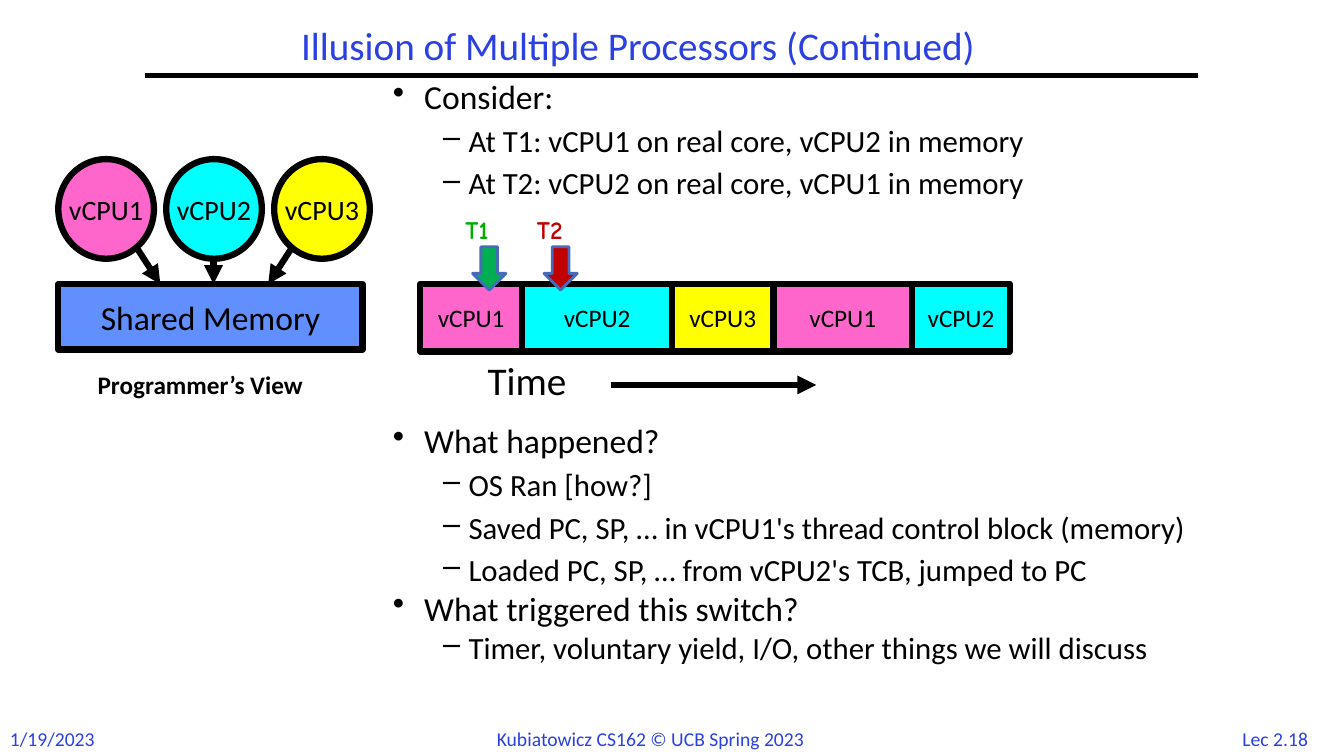
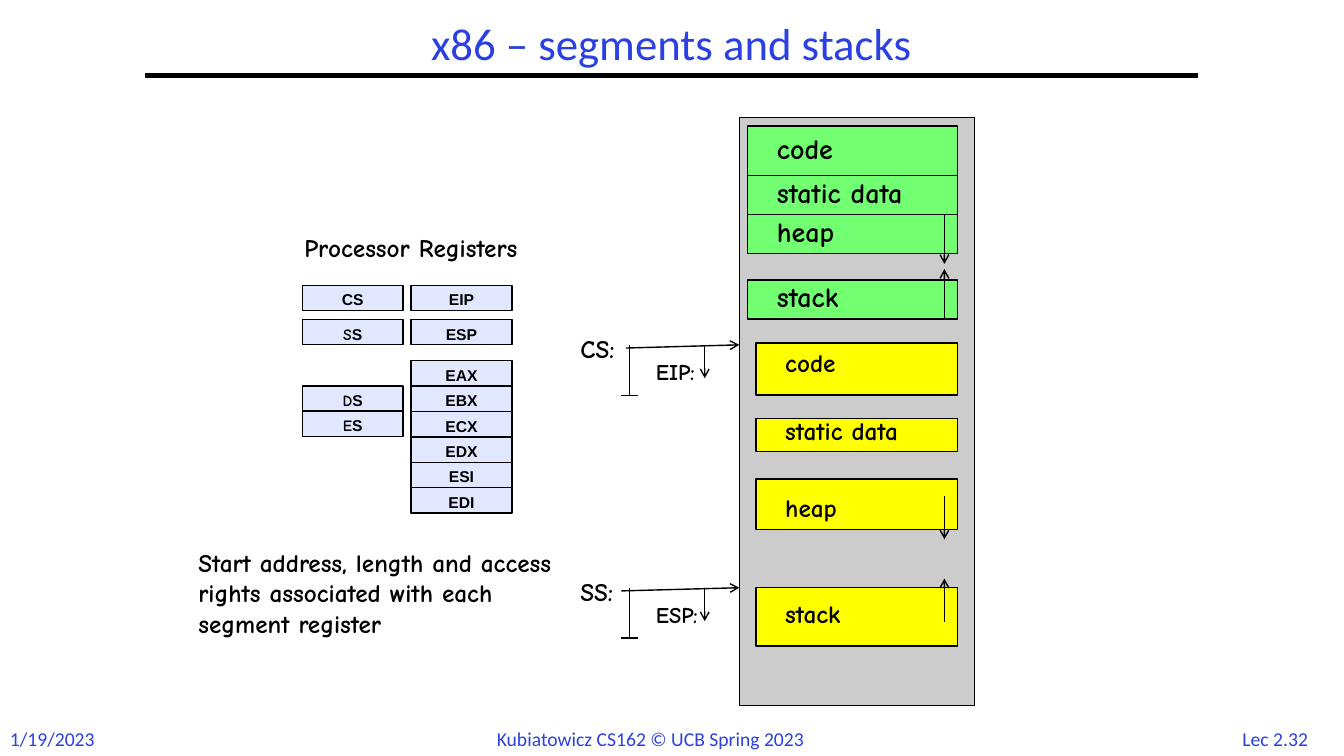
from lxml import etree
from pptx import Presentation
from pptx import util as u
from pptx.dml import color
from pptx.enum import shapes, text
from pptx.oxml import ns

Cm, Pt = u.Cm, u.Pt
KIND, ALIGN, ANCHOR = shapes.MSO_SHAPE, text.PP_ALIGN, text.MSO_ANCHOR

BLACK, BLUE = "000000", "2A40E2"
PINK, CYAN, YELLOW = "FF66CC", "00FFFF", "FFFF00"
GREEN, GREY, LAVENDER = "72FF72", "CCCCCC", "E2E8FF"
SANS, COMIC, ARIAL = "Calibri", "Comic Neue", "Arial"

NOTE = {"name": COMIC, "bold": True, "size": Pt(18), "color": BLACK}
PLAIN = {"name": SANS, "bold": False, "size": Pt(18), "color": BLACK}
REGISTER = {"name": ARIAL, "bold": True, "size": Pt(11.2), "color": BLACK}
FOOT = {**PLAIN, "size": Pt(14), "color": BLUE}

DATE = "1/19/2023"
COURSE = "Kubiatowicz CS162 © UCB Spring 2023"

LEVELS = [
    {"bullet": "•", "margin": 0.79, "hang": 0.79, "size": 24},
    {"bullet": "–", "margin": 1.91, "hang": 0.64, "size": 22},
]
LOOSE, TIGHT = (0.9, 6.6), (0.8, 5.5)
CONSIDER = [
    (0, "Consider:", LOOSE),
    (1, "At T1: vCPU1 on real core, vCPU2 in memory", LOOSE),
    (1, "At T2: vCPU2 on real core, vCPU1 in memory", LOOSE),
]
SWITCH = [
    (0, "What happened?", LOOSE),
    (1, "OS Ran [how?]", LOOSE),
    (1, "Saved PC, SP, … in vCPU1's thread control block (memory)", LOOSE),
    (1, "Loaded PC, SP, … from vCPU2's TCB, jumped to PC", LOOSE),
    (0, "What triggered this switch?", TIGHT),
    (1, "Timer, voluntary yield, I/O, other things we will discuss", TIGHT),
]
VCPUS = {"vCPU1": PINK, "vCPU2": CYAN, "vCPU3": YELLOW}
TIMELINE = [("vCPU1", 2.57), ("vCPU2", 3.78), ("vCPU3", 2.55), ("vCPU1", 3.5), ("vCPU2", 2.46)]
MOMENTS = [("T1", "00AE00", "00B050"), ("T2", "C00000", "C00000")]
MEMORY_LINKS = [(3.43, 6.22, 4.04), (7.37, 6.22, 6.76), (5.38, 6.53, 5.38)]

SEGMENT_REGISTERS = [("CS", 7.19), ("SS", 8.05), ("DS", 9.73), ("ES", 10.36)]
POINTER_REGISTERS = [("EIP", 7.19), ("ESP", 8.05)]
GENERAL_REGISTERS = ["EAX", "EBX", "ECX", "EDX", "ESI", "EDI"]
COMIC_INITIALS = ("SS", "DS", "ES")
PROGRAMS = [
    {"fill": GREEN, "left": 18.84, "width": 5.29, "size": 20, "segments": [
        ("code", 3.18, 1.25, 3.18), ("static data", 4.42, 0.98, 4.29),
        ("heap", 5.41, 0.98, 5.28), ("stack", 7.06, 0.98, 6.93)]},
    {"fill": YELLOW, "left": 19.05, "width": 5.08, "size": 18, "segments": [
        ("code", 8.64, 1.32, 8.64), ("static data", 10.54, 0.84, 10.34),
        ("heap", 12.07, 1.27, 12.27), ("stack", 14.81, 1.47, 14.94)]},
]
GROWTH = [(5.41, 6.65), (8.05, 6.78), (12.5, 13.59), (15.67, 14.58)]
POINTERS = [("CS:", "EIP:", 8.69, 15.77), ("SS:", "ESP:", 14.81, 15.66)]


def rgb(value):
    return color.RGBColor.from_string(value)


def write(paragraph, words, style):
    run = paragraph.add_run()
    run.text = words
    for key, value in style.items():
        if key == "color":
            run.font.color.rgb = rgb(value)
        else:
            setattr(run.font, key, value)


def add_label(slide, place, words, style, align=ALIGN.LEFT, anchor=ANCHOR.TOP, spacing=1.0):
    frame = slide.shapes.add_textbox(*map(Cm, place)).text_frame
    frame.word_wrap = True
    frame.vertical_anchor = anchor
    line = frame.paragraphs[0]
    line.alignment = align
    line.line_spacing = spacing
    write(line, words, style)


def add_block(slide, kind, place, fill, border=1, edge=BLACK, runs=(), anchor=ANCHOR.MIDDLE):
    block = slide.shapes.add_shape(kind, *map(Cm, place))
    block.shadow.inherit = False
    block.fill.solid()
    block.fill.fore_color.rgb = rgb(fill)
    block.line.color.rgb = rgb(edge)
    block.line.width = Pt(border)
    frame = block.text_frame
    frame.word_wrap = False
    frame.vertical_anchor = anchor
    frame.paragraphs[0].alignment = ALIGN.CENTER
    for words, style in runs:
        write(frame.paragraphs[0], words, style)


def add_line(slide, start, end, width=1, head=None):
    line = slide.shapes.add_connector(shapes.MSO_CONNECTOR.STRAIGHT, *map(Cm, start + end))
    line.line.color.rgb = rgb(BLACK)
    line.line.width = Pt(width)
    if head:
        etree.SubElement(line.line._get_or_add_ln(), ns.qn("a:tailEnd"), type=head)
    etree.SubElement(line._element.spPr, ns.qn("a:effectLst"))


def add_bullets(slide, place, items):
    frame = slide.shapes.add_textbox(*map(Cm, place)).text_frame
    frame.word_wrap = True
    for index, (depth, words, (spacing, before)) in enumerate(items):
        level = LEVELS[depth]
        line = frame.add_paragraph() if index else frame.paragraphs[0]
        line.level = depth
        line.line_spacing = spacing
        line.space_before = Pt(before if index else 0)
        properties = line._p.get_or_add_pPr()
        properties.set("marL", str(Cm(level["margin"])))
        properties.set("indent", str(-Cm(level["hang"])))
        etree.SubElement(properties, ns.qn("a:buChar"), char=level["bullet"])
        write(line, words, {**PLAIN, "size": Pt(level["size"])})


def start_slide(deck, title, place, size, number):
    slide = deck.slides.add_slide(deck.slide_layouts[6])
    add_line(slide, (3.66, 1.9), (30.2, 1.9), 3)
    add_label(slide, (0, 18.19, 2.72, 0.86), DATE, FOOT)
    add_label(slide, (12.27, 18.19, 9.35, 0.86), COURSE, FOOT)
    add_label(slide, (30.91, 18.19, 2.46, 0.84), number, FOOT, ALIGN.CENTER)
    add_label(slide, place, title, {**FOOT, "size": Pt(size)}, ALIGN.CENTER, ANCHOR.MIDDLE, 0.9)
    return slide


def build_processors(deck):
    slide = start_slide(deck, "Illusion of Multiple Processors (Continued)",
                        (5.13, 0.1, 21.89, 2.21), 28, "Lec 2.18")
    add_bullets(slide, (9.65, 1.9, 23.83, 3.5), CONSIDER)
    add_bullets(slide, (9.65, 10.57, 23.83, 6.6), SWITCH)

    left, top = 10.59, 7.16
    for name, width in TIMELINE:
        add_block(slide, KIND.RECTANGLE, (left, top, width, 1.7), VCPUS[name], 4.5,
                  runs=[(name, PLAIN)])
        left += width
    add_label(slide, (12.04, 8.86, 3.38, 1.45), "Time", {**PLAIN, "size": Pt(28)})
    add_line(slide, (15.39, 9.7), (20.57, 9.7), 4.5, "triangle")

    for index, (name, ink, fill) in enumerate(MOMENTS):
        shift = index * 1.8
        add_block(slide, KIND.DOWN_ARROW, (11.91 + shift, 6.22, 0.84, 1.09), fill, 2, "486ABB")
        add_label(slide, (11.48 + shift, 5.28, 1.8, 1.02), name, {**NOTE, "color": ink})

    for index, (name, fill) in enumerate(VCPUS.items()):
        add_block(slide, KIND.OVAL, (1.47 + index * 2.72, 4.01, 2.41, 2.51), fill, 4.5,
                  runs=[(name, {**PLAIN, "size": Pt(20)})])
    add_block(slide, KIND.RECTANGLE, (1.47, top, 7.67, 1.65), "618FFD", 4.5,
              runs=[("Shared Memory", {**PLAIN, "size": Pt(24)})])
    for from_x, from_y, to_x in MEMORY_LINKS:
        add_line(slide, (from_x, from_y), (to_x, top), 4.5, "triangle")
    add_label(slide, (2.21, 9.17, 6.48, 1.02), "Programmer’s View", {**PLAIN, "bold": True})


def build_segments(deck):
    slide = start_slide(deck, "x86 – segments and stacks",
                        (3.66, 0.43, 26.52, 1.47), 32, "Lec 2.32")
    add_label(slide, (7.42, 5.72, 6.78, 1.02), "Processor Registers", NOTE)
    general = [(name, 9.09 + row * 0.64) for row, name in enumerate(GENERAL_REGISTERS)]
    for left, column in ((7.62, SEGMENT_REGISTERS), (10.36, POINTER_REGISTERS + general)):
        for name, top in column:
            runs = [(name, REGISTER)]
            if name in COMIC_INITIALS:
                runs = [(name[0], {**REGISTER, "name": COMIC}), (name[1:], REGISTER)]
            add_block(slide, KIND.RECTANGLE, (left, top, 2.54, 0.64), LAVENDER,
                      runs=runs, anchor=ANCHOR.TOP)
    add_label(slide, (4.75, 13.67, 9.63, 2.57),
              "Start address, length and access rights associated with each segment register", NOTE)

    memory_left = 18.63
    add_block(slide, KIND.RECTANGLE, (memory_left, 2.96, 5.93, 14.82), GREY)
    for program in PROGRAMS:
        left, style = program["left"], {**NOTE, "size": Pt(program["size"])}
        for name, top, height, label_top in program["segments"]:
            add_block(slide, KIND.RECTANGLE, (left, top, program["width"], height), program["fill"])
            add_label(slide, (left + 0.49, label_top, 4.34, 1.02), name, style)
    for start, end in GROWTH:
        add_line(slide, (23.8, start), (23.8, end), head="arrow")

    for segment, offset, base, arrow_left in POINTERS:
        limit = base + 1.27
        add_label(slide, (14.38, base - 0.42, 1.68, 1.02), segment, NOTE)
        add_line(slide, (arrow_left, base + 0.08), (memory_left, base), head="arrow")
        add_line(slide, (15.86, base), (15.86, limit))
        add_line(slide, (15.65, limit), (16.07, limit))
        add_line(slide, (17.76, base), (17.76, base + 0.84), head="arrow")
        add_label(slide, (16.28, base + 0.22, 1.83, 0.94), offset, {**NOTE, "size": Pt(16)})


def main():
    deck = Presentation()
    deck.slide_width, deck.slide_height = Cm(33.87), Cm(19.05)
    build_processors(deck)
    build_segments(deck)
    deck.save("out.pptx")


if __name__ == "__main__":
    main()
